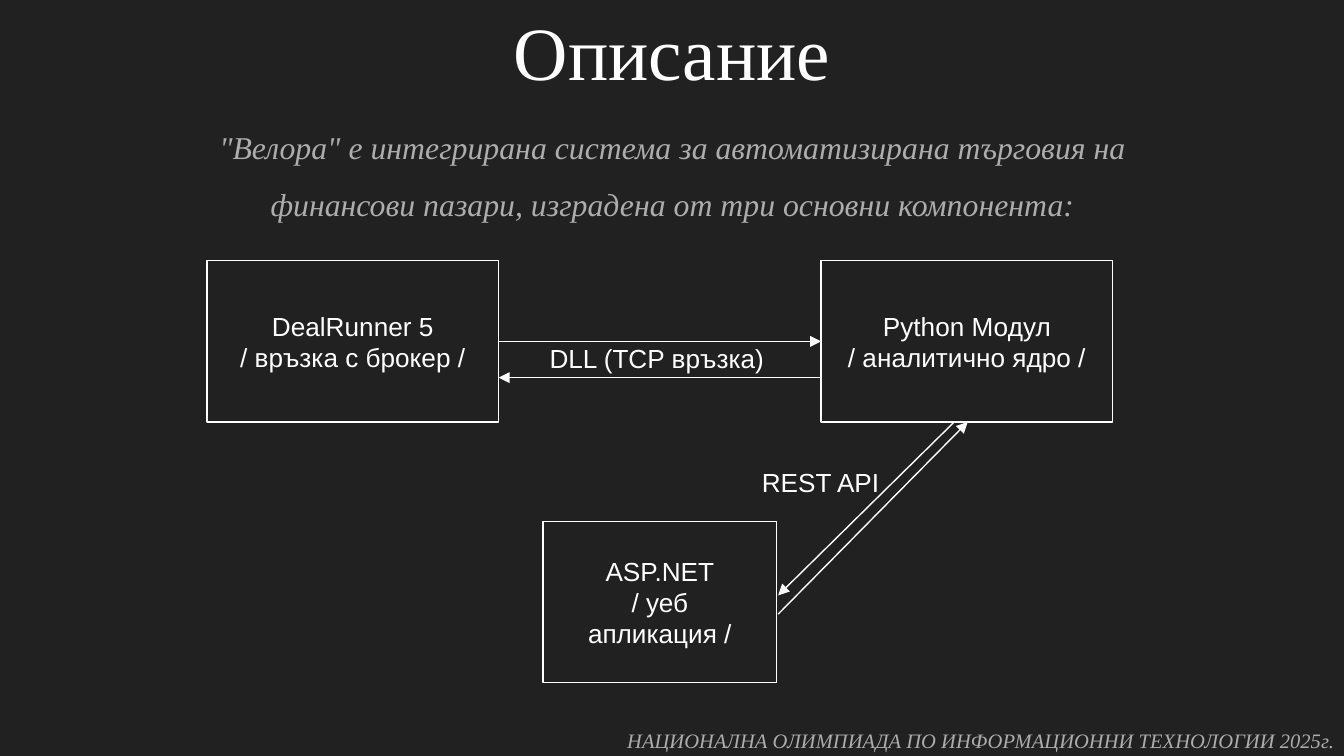
"""Build a slide that shows the three components of a trading system."""
from typing import NamedTuple

from lxml.etree import SubElement
from pptx import Presentation
from pptx.dml.color import RGBColor
from pptx.enum.shapes import MSO_CONNECTOR as Connector, MSO_SHAPE as Shape
from pptx.enum.text import MSO_ANCHOR as Anchor, PP_ALIGN as Align
from pptx.oxml.ns import qn
from pptx.util import Inches, Pt

PAGE_WIDTH = 10
PAGE_HEIGHT = PAGE_WIDTH * 9 / 16
BACKGROUND, WHITE, GREY = "212121", "FFFFFF", "ADADAD"
SERIF = "Times New Roman"
LINE_WIDTH = Pt(0.75)
BOX_HEIGHT = 1.2
TOP_ROW = 1.94


class Area(NamedTuple):
    left: float
    top: float
    width: float
    height: float


class Component(NamedTuple):
    area: Area
    name: str
    role: str


class Arrow(NamedTuple):
    start: tuple[float, float]
    end: tuple[float, float]


class Label(NamedTuple):
    area: Area
    text: str


COMPONENTS = [
    Component(Area(4.04, 3.88, 1.74, BOX_HEIGHT), "ASP.NET", "/ уеб апликация /"),
    Component(Area(6.11, TOP_ROW, 2.17, BOX_HEIGHT), "Python Модул", "/ аналитично ядро /"),
    Component(Area(1.54, TOP_ROW, 2.17, BOX_HEIGHT), "DealRunner 5", "/ връзка с брокер /"),
]
ARROWS = [
    Arrow((3.71, 2.54), (6.11, 2.54)),
    Arrow((6.11, 2.81), (3.71, 2.81)),
    Arrow((7.1, 3.14), (5.79, 4.43)),
    Arrow((5.79, 4.57), (7.2, 3.14)),
]
LABELS = [
    Label(Area(3.99, 2.45, 1.85, 0.44), "DLL (TCP връзка)"),
    Label(Area(5.57, 3.37, 1.85, 0.44), "REST API"),
]


def color(value: str) -> RGBColor:
    return RGBColor.from_string(value)


def write(frame, *lines: str, size: float = 14, font: str = "Arial", ink: str = WHITE,
          italic: bool = False, align=Align.CENTER, anchor=Anchor.TOP,
          spacing: float = 1.0) -> None:
    frame.word_wrap = True
    frame.vertical_anchor = anchor
    frame.margin_left = frame.margin_right = Inches(0.1)
    frame.margin_top = frame.margin_bottom = Inches(0.1)
    for index, line in enumerate(lines):
        para = frame.add_paragraph() if index else frame.paragraphs[0]
        para.alignment = align
        para.line_spacing = spacing
        span = para.add_run()
        span.text = line
        span.font.size = Pt(size)
        span.font.name = font
        span.font.italic = italic
        span.font.color.rgb = color(ink)


def add_text(page, area: Area, text: str, **style) -> None:
    box = page.shapes.add_textbox(*map(Inches, area))
    write(box.text_frame, text, **style)


def add_component(page, component: Component) -> None:
    box = page.shapes.add_shape(Shape.RECTANGLE, *map(Inches, component.area))
    box.shadow.inherit = False
    box.fill.background()
    box.line.color.rgb = color(WHITE)
    box.line.width = LINE_WIDTH
    write(box.text_frame, component.name, component.role, anchor=Anchor.MIDDLE)


def add_arrow(page, arrow: Arrow) -> None:
    connector = page.shapes.add_connector(
        Connector.STRAIGHT, *map(Inches, arrow.start + arrow.end))
    connector.line.color.rgb = color(WHITE)
    connector.line.width = LINE_WIDTH
    SubElement(connector.line._get_or_add_ln(), qn("a:tailEnd"), type="triangle")
    SubElement(connector._element.spPr, qn("a:effectLst"))


def main() -> None:
    deck = Presentation()
    deck.slide_width, deck.slide_height = Inches(PAGE_WIDTH), Inches(PAGE_HEIGHT)
    page = deck.slides.add_slide(deck.slide_layouts[6])
    page.background.fill.solid()
    page.background.fill.fore_color.rgb = color(BACKGROUND)

    add_text(page, Area(-0.41, 0.1, 10.82, 0.71), "Описание",
             size=40.3, font=SERIF, anchor=Anchor.BOTTOM, spacing=1.5)
    add_text(page, Area(1.43, 0.71, 7.15, 1.03),
             '"Велора" е интегрирана система за автоматизирана търговия на '
             "финансови пазари, изградена от три основни компонента:",
             size=17, font=SERIF, ink=GREY, italic=True, spacing=1.5)
    add_text(page, Area(3.6, 5.29, 7.4, 0.17),
             "НАЦИОНАЛНА ОЛИМПИАДА ПО ИНФОРМАЦИОННИ ТЕХНОЛОГИИ 2025г.",
             size=11, font=SERIF, ink=GREY, italic=True, spacing=1.3)
    for component in COMPONENTS:
        add_component(page, component)
    for label in LABELS:
        add_text(page, label.area, label.text, align=Align.LEFT)
    for arrow in ARROWS:
        add_arrow(page, arrow)
    deck.save("out.pptx")


if __name__ == "__main__":
    main()
